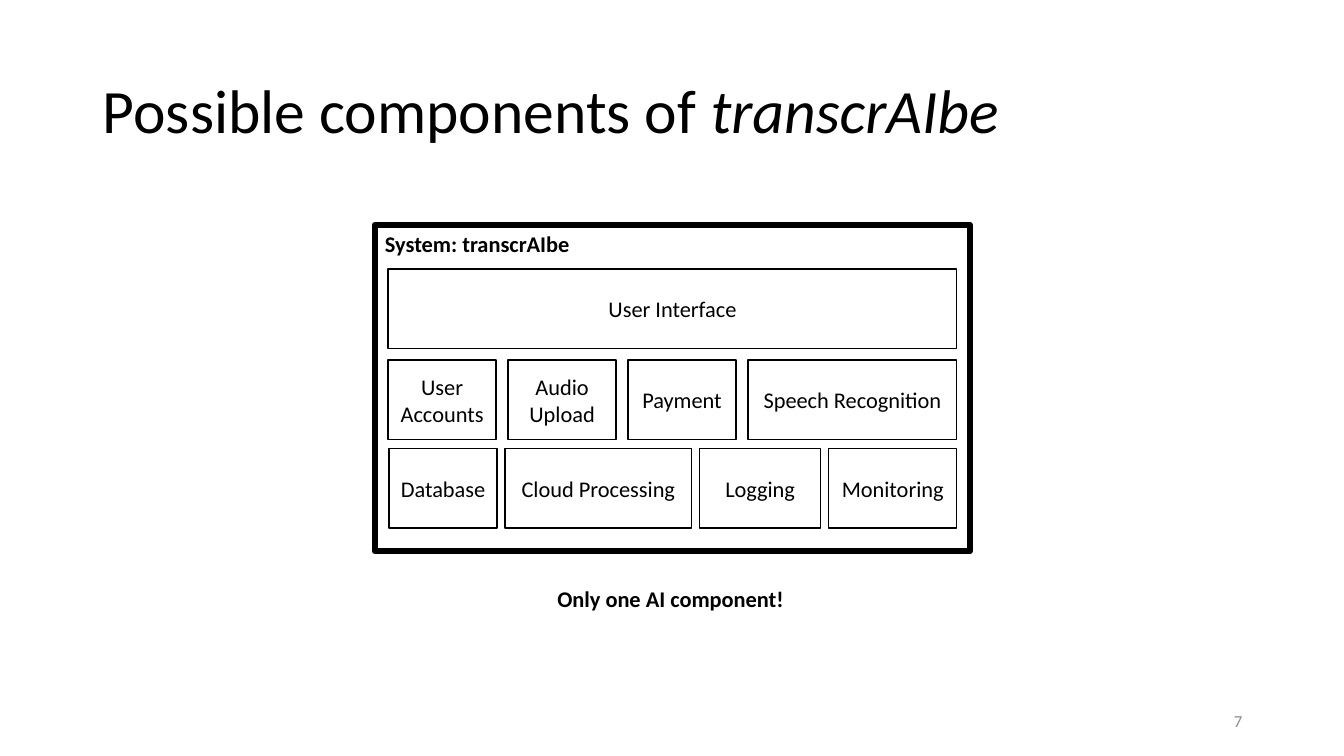
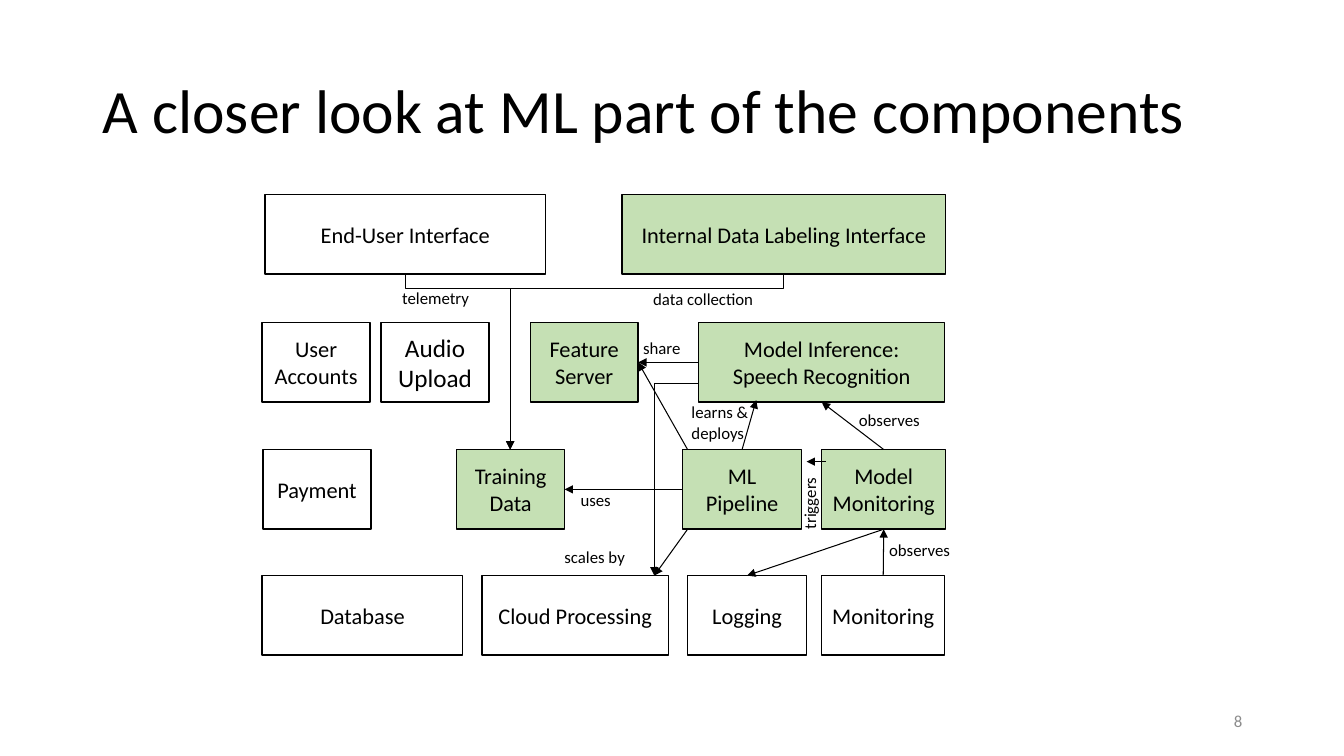
import pptx
import pptx.dml.color
import pptx.enum.dml
import pptx.enum.shapes
import pptx.enum.text
import pptx.oxml
import pptx.oxml.ns
import pptx.util
from pptx.util import Inches

BLACK = pptx.dml.color.RGBColor(0x00, 0x00, 0x00)
WHITE = pptx.dml.color.RGBColor(0xFF, 0xFF, 0xFF)
GREEN = pptx.dml.color.RGBColor(0xC5, 0xE0, 0xB4)
GRAY = pptx.dml.color.RGBColor(0x8C, 0x8C, 0x8C)
FONT = "Calibri"
BOX_HEIGHT = 0.79

ALIGN = pptx.enum.text.PP_ALIGN
ANCHOR = pptx.enum.text.MSO_ANCHOR
CONNECTOR = pptx.enum.shapes.MSO_CONNECTOR
TOP, LEFT, BOTTOM, RIGHT = range(4)

# Words between asterisks are set in italics.
SYSTEM_TITLE = "Possible components of *transcrAIbe*"
SYSTEM_FRAME = (3.72, 2.23, 5.9, 3.24)
# Each row: left, top, gap, then (text, width) of its boxes.
SYSTEM_ROWS = [
    (3.85, 2.67, 0, [("User Interface", 5.64)]),
    (3.85, 3.57, 0.12, [("User Accounts", 1.07), ("Audio Upload", 1.07),
                        ("Payment", 1.07), ("Speech Recognition", 2.07)]),
    (3.86, 4.45, 0.08, [("Database", 1.07), ("Cloud Processing", 1.85),
                        ("Logging", 1.2), ("Monitoring", 1.27)]),
]

ML_TITLE = "A closer look at ML part of the components"
# Each row: top, then (text, left, width, fill) of its boxes.
ML_ROWS = [
    (1.93, [("End-User Interface", 2.63, 2.78, WHITE),
            ("Internal Data Labeling Interface", 6.17, 3.21, GREEN)]),
    (3.2, [("User Accounts", 2.6, 1.07, WHITE),
           ("Audio Upload", 3.78, 1.07, WHITE),
           ("Feature Server", 5.26, 1.07, GREEN),
           ("Model Inference:\nSpeech Recognition", 6.93, 2.44, GREEN)]),
    (4.46, [("Payment", 2.61, 1.07, WHITE),
            ("Training Data", 4.53, 1.07, GREEN),
            ("ML Pipeline", 6.77, 1.18, GREEN),
            ("Model Monitoring", 8.15, 1.23, GREEN)]),
    (5.71, [("Database", 2.6, 1.99, WHITE),
            ("Cloud Processing", 4.78, 1.85, WHITE),
            ("Logging", 6.82, 1.18, WHITE),
            ("Monitoring", 8.15, 1.22, WHITE)]),
]
LARGER_TEXT = {"Audio Upload": 18}
INFERENCE = "Model Inference:\nSpeech Recognition"
# An end is a point, or a box name and the side it joins.
ML_ARROWS = [
    (("ML Pipeline", TOP), (7.5, 3.97)),
    (("Model Monitoring", TOP), (INFERENCE, BOTTOM)),
    ((INFERENCE, LEFT), ("Feature Server", RIGHT)),
    (("ML Pipeline", LEFT), ("Training Data", RIGHT)),
    ((8.19, 4.58), (8, 4.58)),
    (("Model Monitoring", BOTTOM), ("Logging", TOP)),
    (("Monitoring", TOP), ("Model Monitoring", BOTTOM)),
    ((6.82, 4.46), ("Feature Server", RIGHT)),
    ((6.82, 5.25), (6.49, 5.71)),
]
# Start, end, and the share of the height at which the arrow bends.
ML_ELBOWS = [
    ((4.02, 2.73), (5.06, 4.46), 0.075),
    ((7.77, 2.73), (5.06, 4.46), 0.075),
    ((6.93, 3.81), (6.49, 5.71), -0.003),
]
# Text, left, top, width, height, rotation.
ML_LABELS = [
    ("data collection", 6.38, 2.82, 1.32, 0.3, 0),
    ("telemetry", 3.89, 2.81, 0.89, 0.3, 0),
    ("uses", 5.66, 4.81, 0.56, 0.3, 0),
    ("scales by", 5.5, 5.37, 0.9, 0.3, 0),
    ("observes", 8.72, 5.31, 0.88, 0.3, 0),
    ("triggers", 7.65, 4.82, 0.76, 0.3, 270),
    ("observes", 8.42, 4.02, 0.88, 0.3, 0),
    ("learns &\ndeploys", 6.76, 3.94, 0.82, 0.5, 0),
    ("share", 6.28, 3.3, 0.62, 0.3, 0),
]


def write(shape, text, size=16, color=BLACK, bold=False, align=ALIGN.LEFT,
          anchor=ANCHOR.TOP, wrap=True, spacing=None):
    """Fill a shape with text: one paragraph a line, *italics* in asterisks."""
    frame = shape.text_frame
    frame.word_wrap = wrap
    frame.vertical_anchor = anchor
    for index, line in enumerate(text.split("\n")):
        paragraph = frame.add_paragraph() if index else frame.paragraphs[0]
        paragraph.alignment = align
        paragraph.line_spacing = spacing
        for part_index, part in enumerate(line.split("*")):
            if not part:
                continue
            run = paragraph.add_run()
            run.text = part
            run.font.name = FONT
            run.font.size = pptx.util.Pt(size)
            run.font.bold = bold
            run.font.italic = part_index % 2 == 1
            run.font.color.rgb = color


def add_box(slide, left, top, width, height=BOX_HEIGHT, fill=WHITE, line_width=1):
    box = slide.shapes.add_shape(
        pptx.enum.shapes.MSO_SHAPE.RECTANGLE,
        Inches(left), Inches(top), Inches(width), Inches(height))
    box.shadow.inherit = False
    if fill is None:
        box.fill.background()
    else:
        box.fill.solid()
        box.fill.fore_color.rgb = fill
    box.line.color.rgb = BLACK
    box.line.width = pptx.util.Pt(line_width)
    return box


def add_component(slide, text, left, top, width, fill=WHITE):
    box = add_box(slide, left, top, width, fill=fill)
    write(box, text, size=16, align=ALIGN.CENTER, anchor=ANCHOR.MIDDLE)
    return box


def add_label(slide, text, left, top, width, height, rotation=0, **text_format):
    label = slide.shapes.add_textbox(
        Inches(left), Inches(top), Inches(width), Inches(height))
    label.rotation = rotation
    write(label, text, wrap=False, **text_format)
    label.text_frame.auto_size = pptx.enum.text.MSO_AUTO_SIZE.SHAPE_TO_FIT_TEXT


def add_arrow(slide, kind, start, end):
    arrow = slide.shapes.add_connector(kind, *map(Inches, start + end))
    arrow.line.color.rgb = BLACK
    arrow.line.width = pptx.util.Pt(0.75)
    line = arrow.line._get_or_add_ln()
    tail = pptx.oxml.parse_xml(
        f'<a:tailEnd {pptx.oxml.ns.nsdecls("a")} type="triangle"/>')
    line.append(tail)
    effects = pptx.oxml.parse_xml(f'<a:effectLst {pptx.oxml.ns.nsdecls("a")}/>')
    line.addnext(effects)
    return arrow


def add_straight_arrow(slide, boxes, start, end):
    points = [(0, 0) if target[0] in boxes else target for target in (start, end)]
    arrow = add_arrow(slide, CONNECTOR.STRAIGHT, *points)
    for target, connect in ((start, arrow.begin_connect), (end, arrow.end_connect)):
        if target[0] in boxes:
            connect(boxes[target[0]], target[1])


def add_elbow_arrow(slide, start, end, bend):
    """Draw an arrow that leaves downwards: a sideways elbow, turned."""
    center_x, center_y = (start[0] + end[0]) / 2, (start[1] + end[1]) / 2
    half_drop = (end[1] - start[1]) / 2
    half_shift = abs(end[0] - start[0]) / 2
    direction = -1 if end[0] > start[0] else 1
    arrow = add_arrow(
        slide, CONNECTOR.ELBOW,
        (center_x - direction * half_drop, center_y - half_shift),
        (center_x + direction * half_drop, center_y + half_shift))
    arrow.rotation = 90 if direction == 1 else 270
    geometry = arrow._element.spPr.find(pptx.oxml.ns.qn("a:prstGeom"))
    guides = geometry.find(pptx.oxml.ns.qn("a:avLst"))
    if guides is None:
        guides = pptx.oxml.parse_xml(f'<a:avLst {pptx.oxml.ns.nsdecls("a")}/>')
        geometry.append(guides)
    guides.append(pptx.oxml.parse_xml(
        f'<a:gd {pptx.oxml.ns.nsdecls("a")} name="adj1" '
        f'fmla="val {round(bend * 100000)}"/>'))


def add_slide(presentation, title, number):
    slide = presentation.slides.add_slide(presentation.slide_layouts[5])
    heading = slide.shapes.title
    heading.left, heading.top = Inches(0.92), Inches(0.4)
    heading.width, heading.height = Inches(11.5), Inches(1.45)
    write(heading, title, size=44, anchor=ANCHOR.MIDDLE, spacing=0.9)
    page = slide.shapes.add_textbox(
        Inches(9.42), Inches(6.95), Inches(3), Inches(0.4))
    write(page, str(number), size=12, color=GRAY, align=ALIGN.RIGHT,
          anchor=ANCHOR.MIDDLE)
    return slide


def build_system_slide(presentation):
    slide = add_slide(presentation, SYSTEM_TITLE, 7)
    for left, top, gap, components in SYSTEM_ROWS:
        for text, width in components:
            add_component(slide, text, left, top, width)
            left += width + gap
    frame = add_box(slide, *SYSTEM_FRAME, fill=None, line_width=4.5)
    write(frame, "System: transcrAIbe", bold=True)
    add_label(slide, "Only one AI component!", 5.43, 5.76, 2.48, 0.37, bold=True)


def build_ml_slide(presentation):
    slide = add_slide(presentation, ML_TITLE, 8)
    boxes = {}
    for top, components in ML_ROWS:
        for text, left, width, fill in components:
            boxes[text] = add_component(slide, text, left, top, width, fill)
    for text, size in LARGER_TEXT.items():
        for run in boxes[text].text_frame.paragraphs[0].runs:
            run.font.size = pptx.util.Pt(size)
    for start, end, bend in ML_ELBOWS:
        add_elbow_arrow(slide, start, end, bend)
    for start, end in ML_ARROWS:
        add_straight_arrow(slide, boxes, start, end)
    for label in ML_LABELS:
        add_label(slide, *label, size=12)


def main():
    presentation = pptx.Presentation()
    presentation.slide_width = Inches(13.33)
    presentation.slide_height = Inches(7.5)
    build_system_slide(presentation)
    build_ml_slide(presentation)
    presentation.save("out.pptx")


if __name__ == "__main__":
    main()
